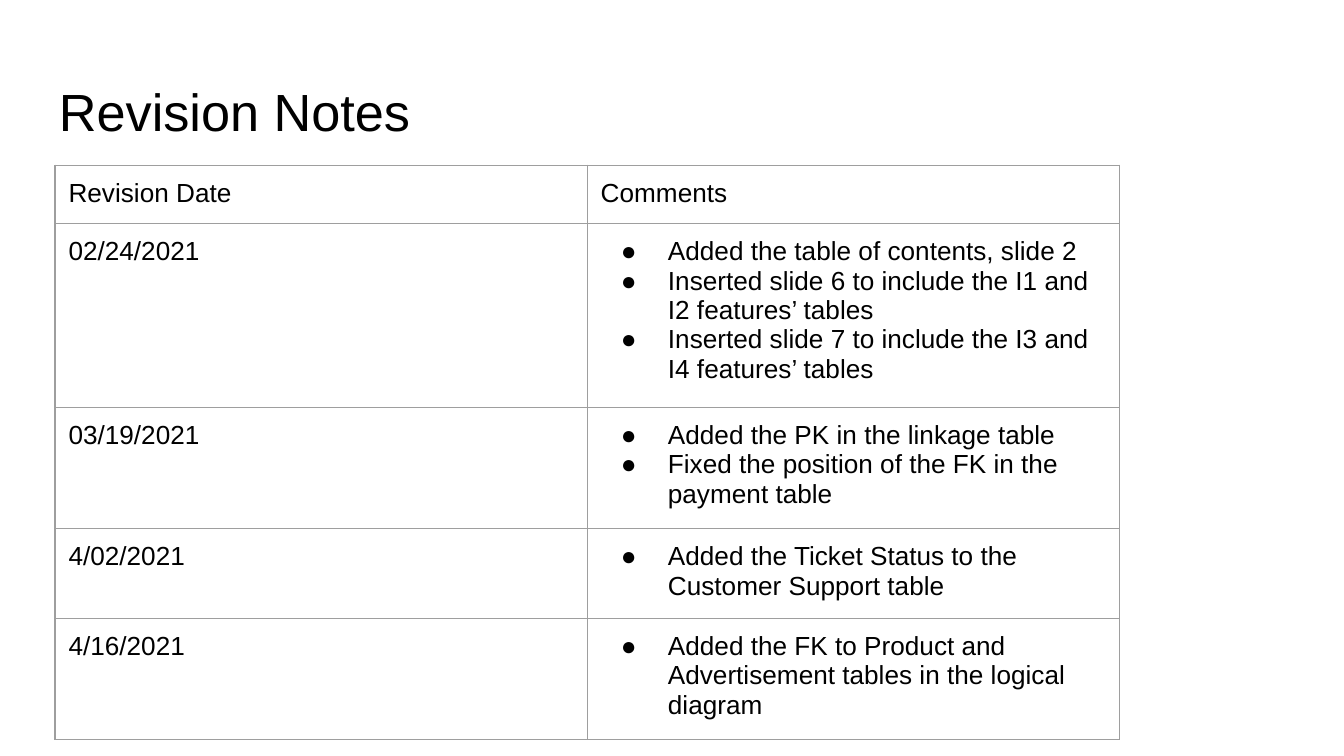
from dataclasses import dataclass

from lxml.etree import SubElement as Sub
from pptx import Presentation as Deck
from pptx.dml.color import RGBColor as Rgb
from pptx.enum.lang import MSO_LANGUAGE_ID as Lang
from pptx.enum.text import MSO_ANCHOR as Anchor
from pptx.oxml.ns import qn
from pptx.util import Inches as In, Pt

WIDE = 10
HIGH = WIDE * 9 / 16
INK, RULE = "000000", "9E9E9E"
FACE = "Arial"
BODY = {f"margin_{side}": In(0.1) for side in ("left", "right", "top", "bottom")}
BODY |= {"vertical_anchor": Anchor.TOP}
GAPS = {"line_spacing": 1.0, "space_before": Pt(0), "space_after": Pt(0)}


@dataclass(frozen=True)
class Entry:
    date: str
    notes: tuple[str, ...]
    listed: bool = True


ROWS = (
    Entry("Revision Date", ("Comments",), False),
    Entry("02/24/2021", (
        "Added the table of contents, slide 2",
        "Inserted slide 6 to include the I1 and I2 features’ tables",
        "Inserted slide 7 to include the I3 and I4 features’ tables",
    )),
    Entry("03/19/2021", (
        "Added the PK in the linkage table",
        "Fixed the position of the FK in the payment table",
    )),
    Entry("4/02/2021", ("Added the Ticket Status to the Customer Support table",)),
    Entry("4/16/2021", (
        "Added the FK to Product and Advertisement tables in the logical diagram",
    )),
)


def paint(color, tone: str) -> None:
    color.rgb = Rgb.from_string(tone)


def style(item, form: dict) -> None:
    for name, value in form.items():
        setattr(item, name, value)


def write(frame, lines: tuple[str, ...], size: int, listed: bool = False) -> None:
    frame.word_wrap = True
    for i, line in enumerate(lines):
        para = frame.add_paragraph() if i else frame.paragraphs[0]
        style(para, GAPS)
        run = para.add_run()
        run.text = line
        style(run.font, {"name": FACE, "size": Pt(size), "bold": False,
                         "language_id": Lang.ENGLISH_US})
        paint(run.font.color, INK)
        for script in ("ea", "cs"):
            Sub(run._r.get_or_add_rPr(), qn(f"a:{script}"), typeface=FACE)
        if listed:
            bullet(para)


def bullet(para) -> None:
    props = para._p.get_or_add_pPr()
    props.set("marL", str(In(0.5)))
    props.set("indent", str(In(-0.35)))
    tint = Sub(props, qn("a:buClr"))
    Sub(tint, qn("a:srgbClr"), val=INK)
    Sub(props, qn("a:buSzPts"), val="1400")
    Sub(props, qn("a:buFont"), typeface=FACE)
    Sub(props, qn("a:buChar"), char="●")


def border(cell) -> None:
    props = cell._tc.get_or_add_tcPr()
    for side in "LRTB":
        line = Sub(props, qn(f"a:ln{side}"), w=str(Pt(0.75)))
        fill = Sub(line, qn("a:solidFill"))
        Sub(fill, qn("a:srgbClr"), val=RULE)


def fill_cell(cell, lines: tuple[str, ...], listed: bool) -> None:
    style(cell, BODY)
    write(cell.text_frame, lines, 14, listed)
    border(cell)
    cell.fill.background()


def add_title(slide, text: str) -> None:
    box = slide.shapes.add_textbox(
        In(WIDE * 0.034), In(0.49), In(WIDE * 0.932), In(0.63))
    style(box.text_frame, BODY)
    write(box.text_frame, (text,), 28)


def add_log(slide, rows: tuple[Entry, ...]) -> None:
    col, row = 3.96, 0.42
    grid = slide.shapes.add_table(
        len(rows), 2, In(0.41), In(1.23), In(2 * col), In(len(rows) * row)).table
    style(grid, {"first_row": False, "horz_banding": False})
    for i, entry in enumerate(rows):
        fill_cell(grid.cell(i, 0), (entry.date,), False)
        fill_cell(grid.cell(i, 1), entry.notes, entry.listed)


def main() -> None:
    deck = Deck()
    style(deck, {"slide_width": In(WIDE), "slide_height": In(HIGH)})
    slide = deck.slides.add_slide(deck.slide_layouts[6])
    add_title(slide, "Revision Notes")
    add_log(slide, ROWS)
    deck.save("out.pptx")


if __name__ == "__main__":
    main()
